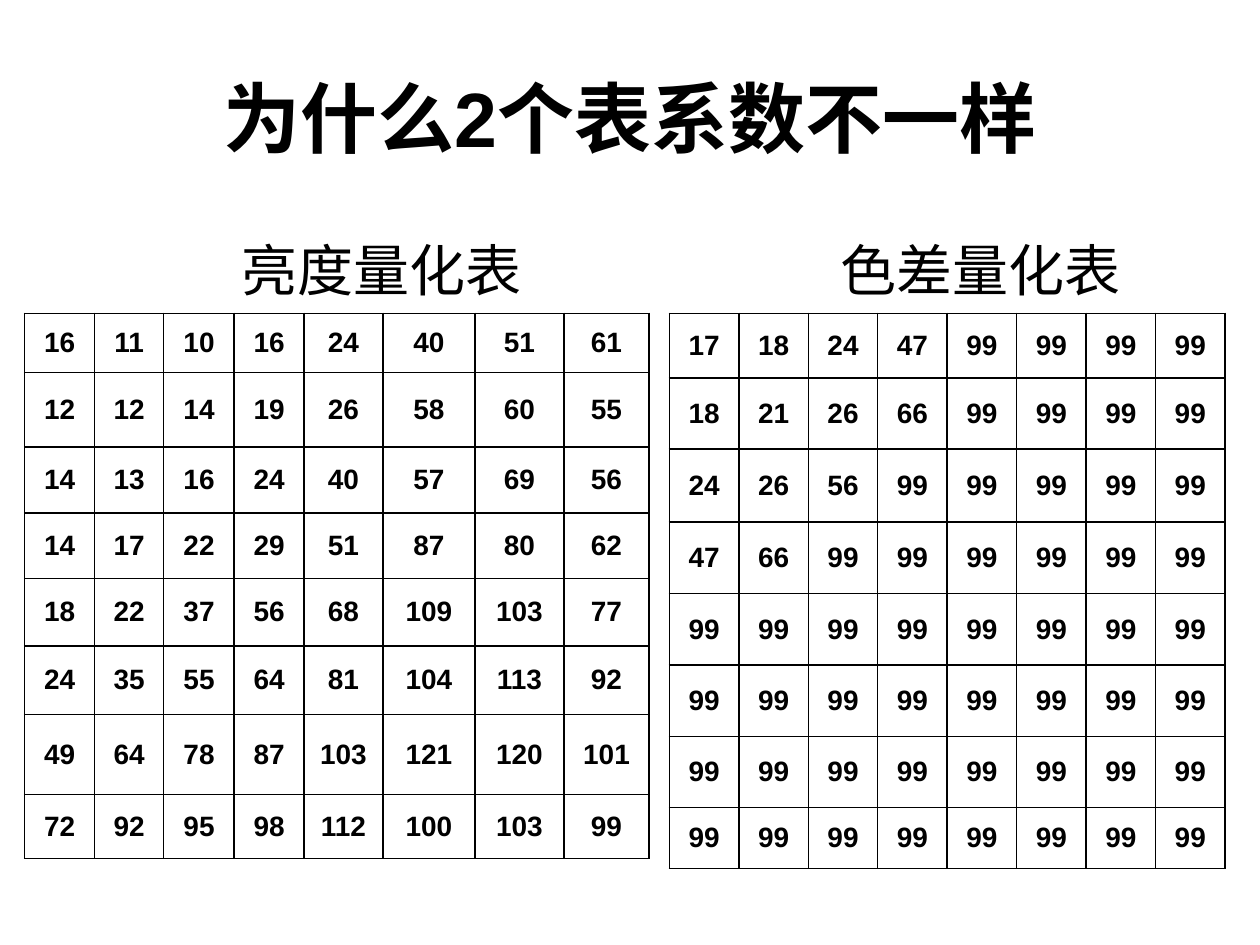
"""Build a slide that sets the luma and chroma quantization tables side by side."""
import dataclasses

import lxml.etree
import pptx
import pptx.dml.color
import pptx.enum.text
import pptx.oxml.ns
import pptx.util

Pt = pptx.util.Pt
ALIGN = pptx.enum.text.PP_ALIGN
ANCHOR = pptx.enum.text.MSO_ANCHOR
FIT = pptx.enum.text.MSO_AUTO_SIZE
INK = "000000"
SIDE = 8


@dataclasses.dataclass
class Label:
    text: str
    box: tuple[float, float, float, float]
    size: float
    bold: bool
    frame: dict
    align: ALIGN


@dataclasses.dataclass
class Grid:
    left: float
    top: float
    cols: list[float]
    rows: list[float]
    data: list[list[int]]


def tint(color, code: str) -> None:
    color.rgb = pptx.dml.color.RGBColor.from_string(code)


def write(para, text: str, size: float, bold: bool, align: ALIGN) -> None:
    para.alignment = align
    font = para.add_run().font
    para.runs[0].text = text
    for key, value in {"name": "Arial", "size": Pt(size), "bold": bold}.items():
        setattr(font, key, value)
    tint(font.color, INK)


def edge(cell) -> None:
    qn = pptx.oxml.ns.qn
    props = cell._tc.get_or_add_tcPr()
    for side in "LRTB":
        line = lxml.etree.SubElement(props, qn(f"a:ln{side}"), w=str(Pt(1)))
        fill = lxml.etree.SubElement(line, qn("a:solidFill"))
        lxml.etree.SubElement(fill, qn("a:srgbClr"), val=INK)


def draw_label(slide, label: Label) -> None:
    frame = slide.shapes.add_textbox(*map(Pt, label.box)).text_frame
    for key, value in label.frame.items():
        setattr(frame, key, value)
    write(frame.paragraphs[0], label.text, label.size, label.bold, label.align)


def draw_grid(slide, grid: Grid) -> None:
    box = (grid.left, grid.top, sum(grid.cols), sum(grid.rows))
    table = slide.shapes.add_table(SIDE, SIDE, *map(Pt, box)).table
    for flag in ("first_row", "horz_banding"):
        setattr(table, flag, False)
    for col, width in zip(table.columns, grid.cols):
        col.width = Pt(width)
    for row, height, values in zip(table.rows, grid.rows, grid.data):
        row.height = Pt(height)
        for cell, value in zip(row.cells, values):
            edge(cell)
            cell.fill.background()
            cell.vertical_anchor = ANCHOR.MIDDLE
            write(cell.text_frame.paragraphs[0], str(value), 16, True, ALIGN.CENTER)


LUMA = [
    [16, 11, 10, 16, 24, 40, 51, 61],
    [12, 12, 14, 19, 26, 58, 60, 55],
    [14, 13, 16, 24, 40, 57, 69, 56],
    [14, 17, 22, 29, 51, 87, 80, 62],
    [18, 22, 37, 56, 68, 109, 103, 77],
    [24, 35, 55, 64, 81, 104, 113, 92],
    [49, 64, 78, 87, 103, 121, 120, 101],
    [72, 92, 95, 98, 112, 100, 103, 99],
]
HEADS = [[17, 18, 24, 47], [18, 21, 26, 66], [24, 26, 56], [47, 66], [], [], [], []]
CHROMA = [head + [99] * (SIDE - len(head)) for head in HEADS]

GRIDS = [
    Grid(14.1, 179, [39.9, 39.6, 40.3, 39.8, 45.2, 52.6, 50.8, 48.7],
         [34, 42.4, 37.7, 37.4, 38.6, 39.2, 45.8, 36.7], LUMA),
    Grid(382.5, 179, [39.7] * SIDE,
         [37, 40.6, 41.7, 41, 40.8, 40.7, 40.6, 35.1], CHROMA),
]
MID = {"word_wrap": True, "vertical_anchor": ANCHOR.MIDDLE}
SNUG = {"word_wrap": False, "auto_size": FIT.SHAPE_TO_FIT_TEXT}
LABELS = [
    Label("为什么2个表系数不一样", (36, 21.6, 648, 90), 44, True, MID, ALIGN.CENTER),
    Label("亮度量化表", (131, 131, 176.4, 46), 32, False, SNUG, ALIGN.LEFT),
    Label("色差量化表", (473, 131, 176.4, 46), 32, False, SNUG, ALIGN.LEFT),
]


def main() -> None:
    deck = pptx.Presentation()
    deck.slide_width, deck.slide_height = Pt(720), Pt(540)
    slide = deck.slides.add_slide(deck.slide_layouts[6])
    for grid in GRIDS:
        draw_grid(slide, grid)
    for label in LABELS:
        draw_label(slide, label)
    deck.save("out.pptx")


if __name__ == "__main__":
    main()
